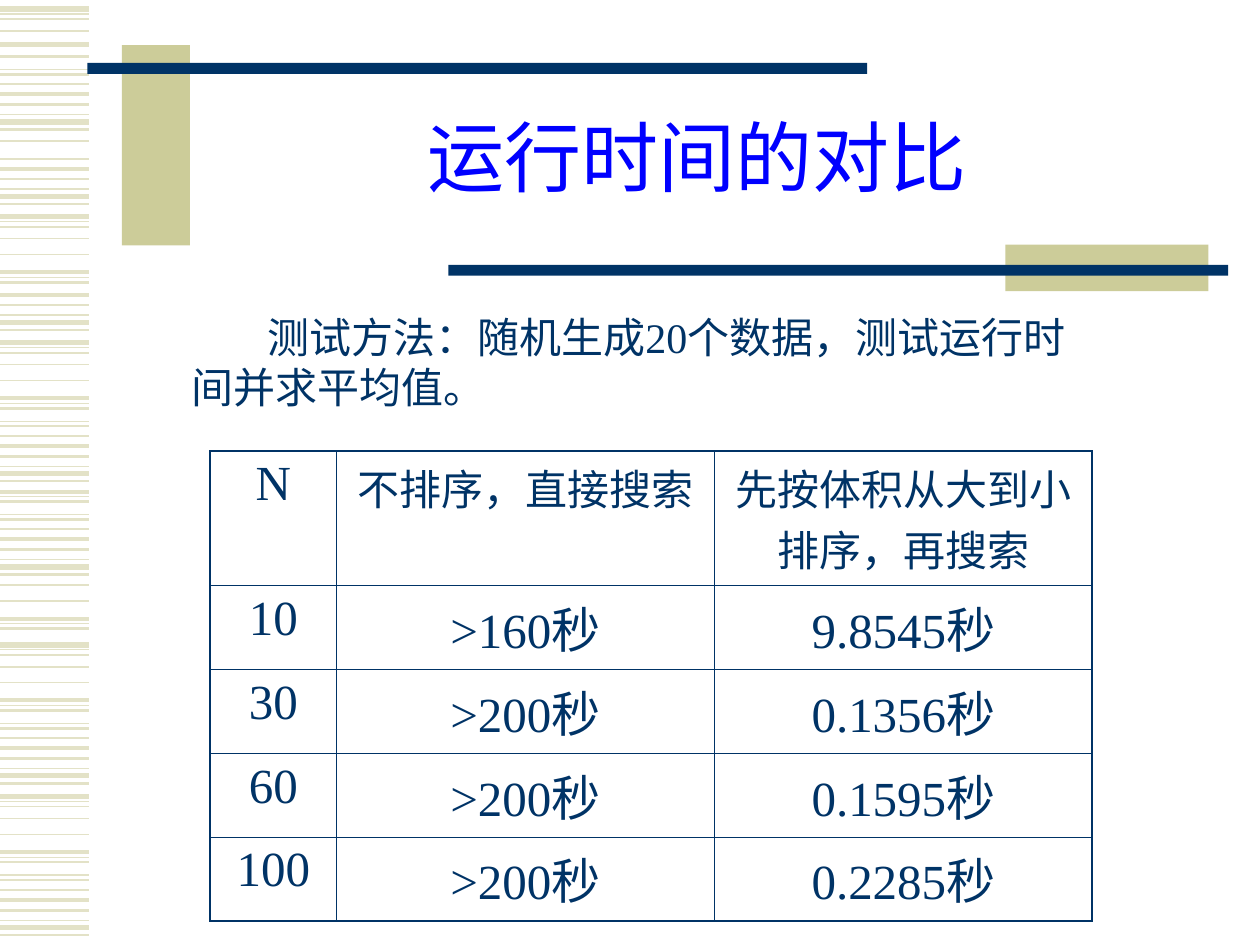
"""Builds the slide that compares running times with and without sorting."""
from lxml import etree
from pptx import Presentation
from pptx import util as u
from pptx.dml.color import RGBColor
from pptx.enum import shapes, text
from pptx.oxml.ns import qn

COLORS = {"navy": "003366", "khaki": "CCCC99", "stripe": "E3E2C7", "title": "0000FF"}
FONT = "Times New Roman"


def style(p, size, color, before=0, align=text.PP_ALIGN.CENTER):
    p.alignment = align
    p.space_before = u.Pt(before)
    for r in p.runs:
        r.font.size = u.Pt(size)
        r.font.name = FONT
        r.font.color.rgb = RGBColor.from_string(COLORS[color])


def border(cell, side, width):
    ln = etree.SubElement(cell._tc.get_or_add_tcPr(), qn("a:ln" + side), w=str(u.Pt(width)))
    fill = etree.SubElement(ln, qn("a:solidFill"))
    etree.SubElement(fill, qn("a:srgbClr"), val=COLORS["navy"])


prs = Presentation()
prs.slide_width, prs.slide_height = u.Cm(25.4), u.Cm(19.05)
s = prs.slides.add_slide(prs.slide_layouts[5])

motif = [(0, 3), (0.1, 0.74), (0.2, 0.99), (0.44, 0.99), (0.76, 0.99), (1.12, 2.24),
         (1.22, 0.74), (1.32, 1.5), (1.58, 0.74), (1.68, 1.5), (1.88, 0.99), (2.08, 2.24),
         (2.29, 1.5), (2.49, 0.74), (2.64, 3), (2.79, 1.5)]
bands = [(16.06, 0, 16), (13, 0, 16), (11.35, 3, 8), (8.79, 5, 16), (6.91, 0, 16),
         (4.37, 0, 8), (3.86, 11, 16), (2.08, 4, 5), (1.32, 10, 16), (-0.18, 7, 16),
         (0.89, 0, 1), (0.18, 0, 4)]
for top, first, last in bands:
    for offset, width in motif[first:last]:
        y = u.Cm(top + offset)
        line = s.shapes.add_connector(shapes.MSO_CONNECTOR.STRAIGHT, 0, y, u.Cm(1.8), y)
        line.line.color.rgb = RGBColor.from_string(COLORS["stripe"])
        line.line.width = u.Pt(width)
        etree.SubElement(line._element.spPr, qn("a:effectLst"))

bars = [(2.46, 0.91, 1.37, 4.04, "khaki"), (1.76, 1.27, 15.72, 0.22, "navy"),
        (20.27, 4.93, 4.09, 0.94, "khaki"), (9.04, 5.34, 15.72, 0.22, "navy")]
for left, top, width, height, color in bars:
    sp = s.shapes.add_shape(shapes.MSO_SHAPE.RECTANGLE,
                            u.Cm(left), u.Cm(top), u.Cm(width), u.Cm(height))
    sp.shadow.inherit = False
    sp.fill.solid()
    sp.fill.fore_color.rgb = RGBColor.from_string(COLORS[color])
    sp.line.fill.background()

title = s.shapes.title
title.left, title.top, title.width, title.height = u.Cm(3.81), u.Cm(1.7), u.Cm(20.5), u.Cm(3.18)
tf = title.text_frame
tf.text = "运行时间的对比"
tf.auto_size = text.MSO_AUTO_SIZE.NONE
tf.vertical_anchor = text.MSO_ANCHOR.MIDDLE
tf.paragraphs[0].line_spacing = 0.85
style(tf.paragraphs[0], 44, "title")

rows = [("N", "不排序，直接搜索", "先按体积从大到小排序，再搜索"),
        ("10", ">160秒", "9.8545秒"),
        ("30", ">200秒", "0.1356秒"),
        ("60", ">200秒", "0.1595秒"),
        ("100", ">200秒", "0.2285秒")]
table = s.shapes.add_table(5, 3, u.Cm(4.24), u.Cm(9.09), u.Cm(17.78), u.Cm(9.05)).table
table.first_row = table.horz_banding = False
for column, width in zip(table.columns, (2.54, 7.62, 7.62)):
    column.width = u.Cm(width)
for i, values in enumerate(rows):
    table.rows[i].height = u.Cm(1.69 if i else 2.29)
    for j, value in enumerate(values):
        cell = table.cell(i, j)
        cell.text = value
        heading = i == 0 and j > 0
        style(cell.text_frame.paragraphs[0], 24 if heading else 28, "navy", 6 if heading else 7)
        for side, outer in (("L", j == 0), ("R", j == 2), ("T", i == 0), ("B", i == 4)):
            border(cell, side, 1.08 if outer else 0.45)
        cell.fill.background()

tf = s.shapes.add_textbox(u.Cm(3.61), u.Cm(6.15), u.Cm(18.85), u.Cm(2.29)).text_frame
tf.word_wrap = True
tf.text = "测试方法：随机生成20个数据，测试运行时间并求平均值。"
p = tf.paragraphs[0]
style(p, 24, "navy", 15, text.PP_ALIGN.LEFT)
p._p.get_or_add_pPr().set("indent", str(u.Cm(1.53)))

prs.save("out.pptx")
